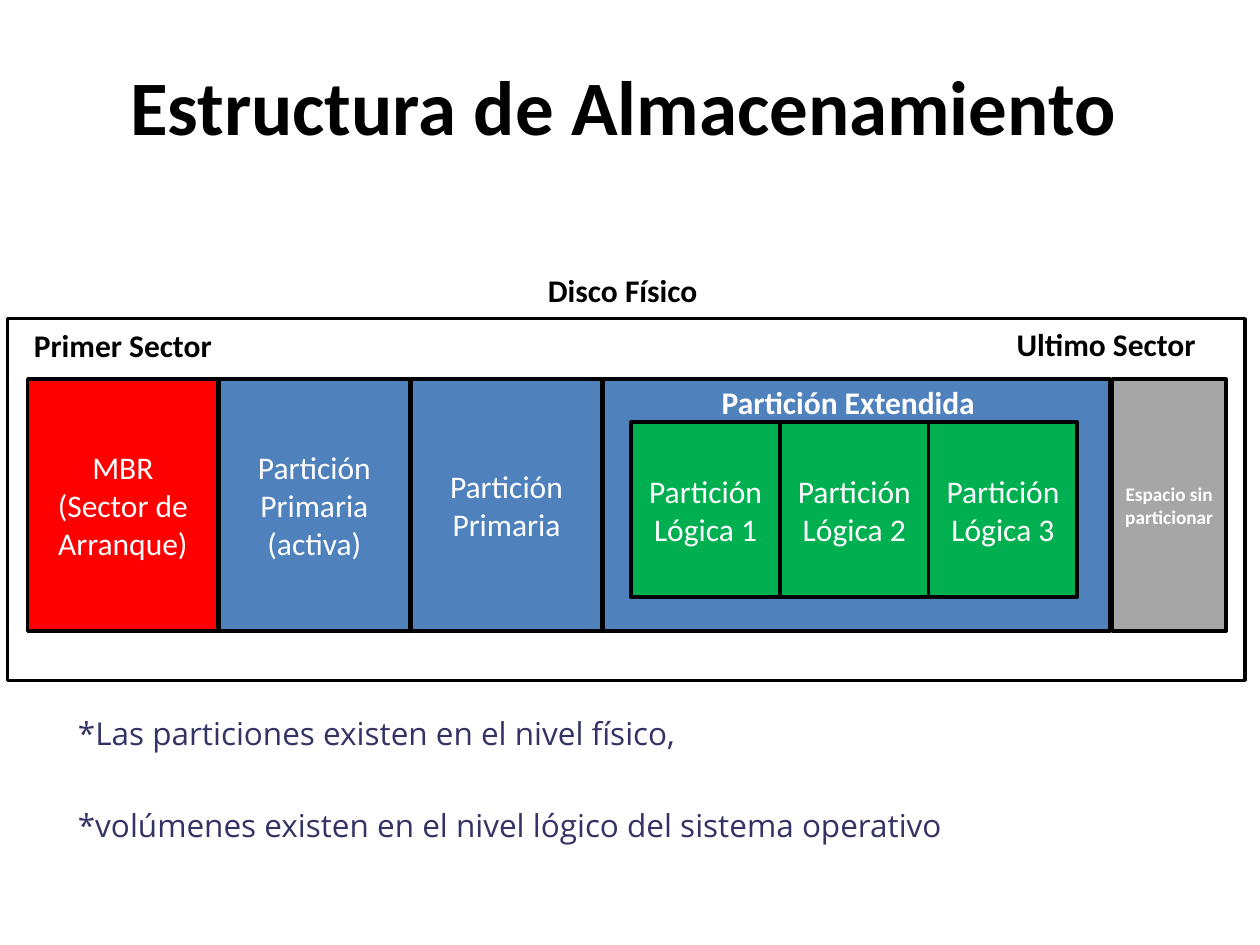
from pptx import Presentation
from pptx.dml.color import RGBColor
from pptx.enum.shapes import MSO_SHAPE
from pptx.enum.text import MSO_ANCHOR, PP_ALIGN
from pptx.util import Inches, Pt

COLORS = {
    "black": "000000",
    "white": "FFFFFF",
    "blue": "4F81BD",
    "red": "FF0000",
    "green": "00B050",
    "gray": "A6A6A6",
    "navy": "333366",
}


def write(frame, lines, color, size=18, bold=False, name="Calibri", align=PP_ALIGN.CENTER):
    frame.text = "\n".join(lines)
    for para in frame.paragraphs:
        para.alignment = align
        para.font.name = name
        para.font.size = Pt(size)
        para.font.bold = bold
        para.font.color.rgb = RGBColor.from_string(COLORS[color])


def add_block(page, left, top, width, height, fill=None):
    block = page.shapes.add_shape(
        MSO_SHAPE.RECTANGLE, Inches(left), Inches(top), Inches(width), Inches(height)
    )
    block.shadow.inherit = False
    if fill:
        block.fill.solid()
        block.fill.fore_color.rgb = RGBColor.from_string(COLORS[fill])
    else:
        block.fill.background()
    block.line.color.rgb = RGBColor.from_string(COLORS["black"])
    block.line.width = Pt(2)
    block.text_frame.word_wrap = True
    block.text_frame.vertical_anchor = MSO_ANCHOR.MIDDLE
    return block


deck = Presentation()
deck.slide_width = Inches(10)
deck.slide_height = Inches(7.5)
page = deck.slides.add_slide(deck.slide_layouts[5])

title = page.shapes.title
title.left, title.top = Inches(0.45), Inches(0.21)
title.width, title.height = Inches(9), Inches(1.25)
title.text_frame.vertical_anchor = MSO_ANCHOR.MIDDLE
write(title.text_frame, ["Estructura de Almacenamiento"], "black", 44, True)

add_block(page, 0.06, 2.53, 9.82, 2.87)

partitions = [
    (0.22, 1.51, "red", ["MBR", "(Sector de Arranque)"], 18, False),
    (1.74, 1.51, "blue", ["Partición Primaria (activa)"], 18, False),
    (3.26, 1.52, "blue", ["Partición Primaria"], 18, False),
    (4.79, 4.02, "blue", [], 18, False),
    (8.83, 0.9, "gray", ["Espacio sin particionar"], 11, True),
]
for left, width, fill, lines, size, bold in partitions:
    block = add_block(page, left, 3.01, width, 2, fill)
    if lines:
        write(block.text_frame, lines, "white", size, bold)

logical_width = 1.18
for index in range(3):
    block = add_block(page, 5.01 + index * logical_width, 3.35, logical_width, 1.39, "green")
    write(block.text_frame, ["Partición", f"Lógica {index + 1}"], "white")

labels = [
    (4.25, 2.1, 1.4, "Disco Físico", "black", True, "Calibri"),
    (0.17, 2.54, 1.63, "Primer Sector", "black", True, "Calibri"),
    (7.97, 2.53, 1.64, "Ultimo Sector", "black", True, "Calibri"),
    (5.63, 2.99, 2.23, "Partición Extendida", "white", True, "Calibri"),
    (0.52, 5.62, 5.11, "*Las particiones existen en el nivel físico,", "navy", False, "Open Sans"),
    (0.52, 6.35, 7.47, "*volúmenes existen en el nivel lógico del sistema operativo",
     "navy", False, "Open Sans"),
]
for left, top, width, text, color, bold, name in labels:
    box = page.shapes.add_textbox(Inches(left), Inches(top), Inches(width), Inches(0.4))
    box.text_frame.word_wrap = False
    write(box.text_frame, [text], color, bold=bold, name=name, align=PP_ALIGN.LEFT)

deck.save("out.pptx")
